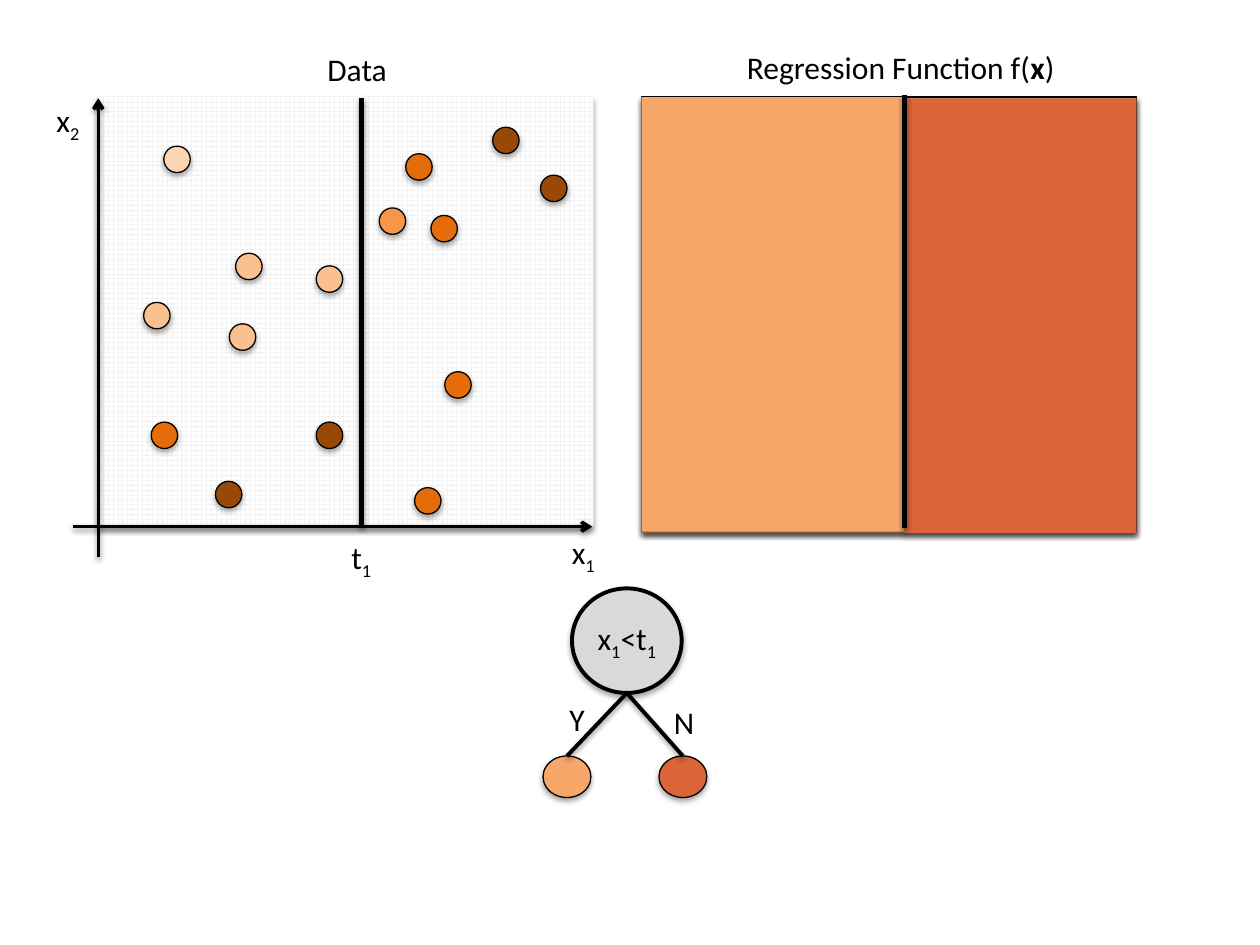
from pptx import Presentation
from pptx.dml.color import RGBColor
from pptx.enum.dml import MSO_PATTERN
from pptx.enum.shapes import MSO_CONNECTOR, MSO_SHAPE
from pptx.enum.text import MSO_ANCHOR, MSO_AUTO_SIZE, PP_ALIGN
from pptx.oxml import parse_xml
from pptx.oxml.ns import nsdecls
from pptx.util import Inches, Pt

CELL = Inches(0.1)
COLUMNS, ROWS = 100, 75
FONT = "Calibri"
BLACK = RGBColor(0x00, 0x00, 0x00)
WHITE = RGBColor(0xFF, 0xFF, 0xFF)
GRID_GREY = RGBColor(0xF2, 0xF2, 0xF2)
NODE_GREY = RGBColor(0xD9, 0xD9, 0xD9)
UNDERLAY = RGBColor(0xCA, 0x88, 0x56)
LEFT_REGION = RGBColor(0xF7, 0xA7, 0x6A)
RIGHT_REGION = RGBColor(0xDB, 0x64, 0x38)
PALEST = RGBColor(0xFC, 0xD5, 0xB5)
PALE = RGBColor(0xFA, 0xC0, 0x90)
MEDIUM = RGBColor(0xF7, 0x96, 0x46)
ORANGE = RGBColor(0xE4, 0x6C, 0x0A)
BROWN = RGBColor(0x98, 0x48, 0x07)

THRESHOLD = 20.9
DOT = 2.1
DOTS = {
    BROWN: [(31.3, 2.4), (35.1, 6.2), (17.3, 25.8), (9.3, 30.5)],
    ORANGE: [(4.2, 25.8), (27.5, 21.8), (26.4, 9.4), (24.4, 4.5), (25.1, 31)],
    PALE: [(10.4, 18), (10.9, 12.4), (17.3, 13.4), (3.6, 16.3)],
    PALEST: [(5.2, 3.9)],
    MEDIUM: [(22.3, 8.8)],
}
SUBSCRIPT = {"subscript": True}
BOLD = {"bold": True}


def cells(*values):
    return [round(value * CELL) for value in values]


def cast_shadow(shape, distance, opacity):
    shape._element.spPr.append(parse_xml(
        f'<a:effectLst {nsdecls("a")}><a:outerShdw blurRad="{Pt(3.1)}" '
        f'dist="{Pt(distance)}" dir="5400000" rotWithShape="0">'
        f'<a:srgbClr val="{BLACK}"><a:alpha val="{opacity * 1000}"/>'
        '</a:srgbClr></a:outerShdw></a:effectLst>'))


def add_figure(slide, kind, box, color=None, line_width=None):
    shape = slide.shapes.add_shape(kind, *cells(*box))
    if color is None:
        shape.fill.patterned()
        shape.fill.pattern = MSO_PATTERN.LARGE_GRID
        shape.fill.fore_color.rgb = GRID_GREY
        shape.fill.back_color.rgb = WHITE
    else:
        shape.fill.solid()
        shape.fill.fore_color.rgb = color
    if line_width:
        shape.line.color.rgb = BLACK
        shape.line.width = Pt(line_width)
    else:
        shape.line.fill.background()
    cast_shadow(shape, 1.8, 35)
    return shape


def add_line(slide, start, end, width, arrow=False):
    line = slide.shapes.add_connector(MSO_CONNECTOR.STRAIGHT, *cells(*start, *end))
    line.line.color.rgb = BLACK
    line.line.width = Pt(width)
    if arrow:
        line.line._get_or_add_ln().append(
            parse_xml(f'<a:tailEnd {nsdecls("a")} type="arrow"/>'))
    cast_shadow(line, 1.6, 38)
    return line


def write(paragraph, text, size=18, bold=False, subscript=False):
    run = paragraph.add_run()
    run.text = text
    run.font.name = FONT
    run.font.size = Pt(size)
    run.font.bold = bold
    run.font.color.rgb = BLACK
    if subscript:
        run._r.get_or_add_rPr().set("baseline", "-25000")


def add_label(slide, left, top, width, runs, wrap=False):
    frame = slide.shapes.add_textbox(*cells(left, top, width, 4)).text_frame
    frame.word_wrap = wrap
    frame.auto_size = MSO_AUTO_SIZE.SHAPE_TO_FIT_TEXT
    for text, style in runs:
        write(frame.paragraphs[0], text, **style)


def add_regression_panel(slide, left, top, width, height):
    split = left + THRESHOLD
    rectangle = MSO_SHAPE.RECTANGLE
    add_figure(slide, rectangle, (left, top, width, height), line_width=0.75)
    add_figure(slide, rectangle, (left + 0.1, top + 0.1, width - 0.1, height), UNDERLAY)
    add_figure(slide, rectangle, (left, top, THRESHOLD, height), LEFT_REGION)
    add_figure(slide, rectangle, (split, top + 0.1, width - THRESHOLD, height), RIGHT_REGION)
    add_line(slide, (split, top - 0.2), (split, top + height - 0.3), 3)
    add_label(slide, left + 7.4, top - 4.4, 26.7,
              [("Regression Function f(", {}), ("x", BOLD), (")", {})])


def add_data_panel(slide, left, top, width, height):
    split, right, bottom = left + THRESHOLD, left + width, top + height
    add_figure(slide, MSO_SHAPE.RECTANGLE, (left, top, width, height))
    for color, places in DOTS.items():
        for x, y in places:
            add_figure(slide, MSO_SHAPE.OVAL, (left + x, top + y, DOT, DOT), color, 0.75)
    add_line(slide, (split, top + 0.1), (split, bottom), 3)
    add_label(slide, split - 1.8, bottom + 0.4, 3.7, [("t", {}), ("1", SUBSCRIPT)])
    add_label(slide, split - 3.7, top - 4.2, 6.8, [("Data", {})])
    add_label(slide, right - 2.7, bottom, 4, [("x", {}), ("1", SUBSCRIPT)])
    add_label(slide, left - 4.3, top - 0.2, 4, [("x", {}), ("2", SUBSCRIPT)])
    add_line(slide, (left - 2, bottom), (right - 0.1, bottom), 2, arrow=True)
    add_line(slide, (left, bottom + 2.4), (left, top + 0.1), 2, arrow=True)


def add_tree(slide, left, top, width, height):
    root_width, root_height, leaf_width, leaf_height = 8.7, 8.3, 3.8, 3.3
    root_left = left + 2.3
    root = add_figure(slide, MSO_SHAPE.OVAL,
                      (root_left, top, root_width, root_height), NODE_GREY, 2.25)
    frame = root.text_frame
    frame.margin_left = frame.margin_right = frame.margin_top = frame.margin_bottom = 0
    frame.vertical_anchor = MSO_ANCHOR.MIDDLE
    frame.paragraphs[0].alignment = PP_ALIGN.CENTER
    for text, style in [("x", {}), ("1", SUBSCRIPT), ("<t", {}), ("1", SUBSCRIPT)]:
        write(frame.paragraphs[0], text, **style)

    fork = (root_left + root_width / 2, top + root_height)
    leaf_top = top + height - leaf_height
    for leaf_left, color in [(left, LEFT_REGION), (left + width - leaf_width, RIGHT_REGION)]:
        leaf = add_figure(slide, MSO_SHAPE.OVAL,
                          (leaf_left, leaf_top, leaf_width, leaf_height), color, 0.75)
        branch = add_line(slide, fork, (leaf_left + leaf_width / 2, leaf_top), 2.25)
        branch.end_connect(leaf, 0)
    add_label(slide, left + 1.1, top + 8.4, 4.2, [("Y", {})], wrap=True)
    add_label(slide, left + 9.4, top + 8.6, 4.2, [("N", {})], wrap=True)


def main():
    presentation = Presentation()
    presentation.slide_width = COLUMNS * CELL
    presentation.slide_height = ROWS * CELL
    slide = presentation.slides.add_slide(presentation.slide_layouts[6])
    add_regression_panel(slide, 50.9, 7.7, 39.3, 34.5)
    add_data_panel(slide, 7.8, 7.7, 39.3, 34.1)
    add_tree(slide, 43.1, 46.7, 13, 16.6)
    presentation.save("out.pptx")


if __name__ == "__main__":
    main()
